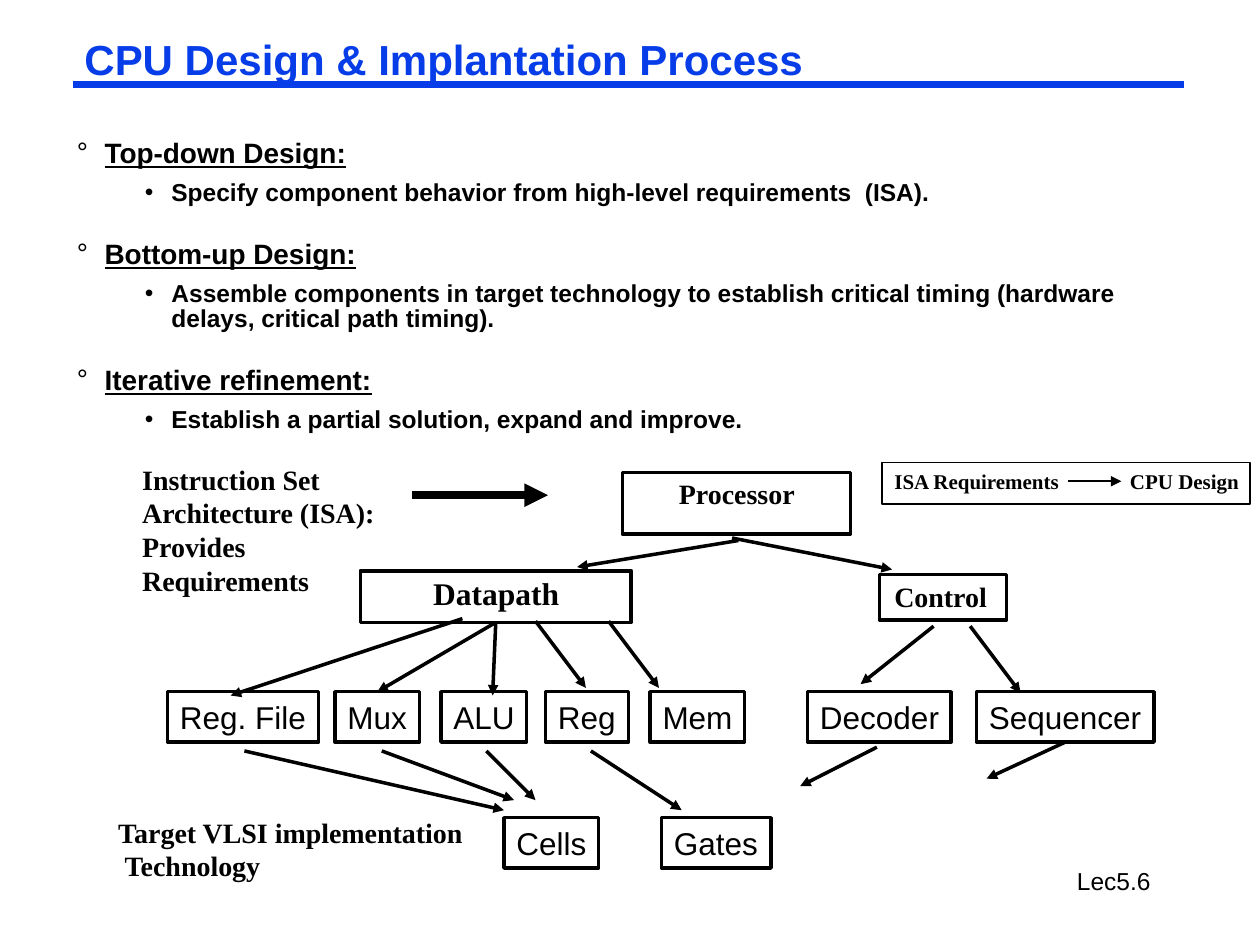
from lxml import etree
from pptx import Presentation
from pptx import util as u
from pptx.dml.color import RGBColor
from pptx.enum import shapes, text
from pptx.oxml.ns import qn

COLORS = {"blue": "063DE8", "black": "000000", "white": "FFFFFF"}
SANS, SERIF = "Arial", "Times New Roman"
TOP, BOTTOM = 0, 2  # connection sites of a rectangle

TITLE = "CPU Design & Implantation Process"
POINTS = [
    ("Top-down Design:",
     "Specify component behavior from high-level requirements  (ISA)."),
    ("Bottom-up Design:",
     "Assemble components in target technology to establish critical timing "
     "(hardware delays, critical path timing)."),
    ("Iterative refinement:",
     "Establish a partial solution, expand and improve."),
]

# Bullet levels: mark, left margin, hanging indent, size, space before, underline
LEVELS = [("°", 0.22, 0.22, 16, 20, True), ("•", 0.75, 0.21, 14, 7, False)]

# Rectangles without their own text: name -> left, top, width, height
FRAMES = {
    "Datapath": (2.86, 4.53, 2.15, 0.41),
    "Control": (6.98, 4.56, 1.01, 0.36),
    "Processor": (4.94, 3.75, 1.81, 0.49),
}

# Labels: lines, left, top, width, height, size
LABELS = [
    (["Datapath"], 3.34, 4.51, 1.26, 0.4, 18),
    (["Control"], 7, 4.55, 0.94, 0.36, 16),
    (["Processor"], 5.29, 3.73, 1.12, 0.36, 16),
    (["Instruction Set", "Architecture (ISA):", "Provides", "Requirements"],
     1.03, 3.62, 2.05, 1.43, 16),
    (["Target VLSI implementation", " Technology"], 0.84, 6.42, 2.96, 0.64, 16),
]

# Rows of component boxes: top -> (name, left, width)
ROWS = {
    5.49: [("Reg. File", 1.33, 1.2), ("Mux", 2.66, 0.67), ("ALU", 3.5, 0.68),
           ("Reg", 4.33, 0.66), ("Mem", 5.16, 0.75),
           ("Decoder", 6.41, 1.14), ("Sequencer", 7.75, 1.41)],
    6.49: [("Cells", 4, 0.75), ("Gates", 5.25, 0.87)],
}
ROW_HEIGHT = 0.4

# Arrows: each end is a point (x, y) or a joint (box name, site)
ARROWS = [
    ((5.86, 4.29), (4.58, 4.5)),
    ((5.81, 4.27), (7.08, 4.52)),
    ((3.67, 4.91), (1.83, 5.52)),
    (("Datapath", BOTTOM), ("Mux", TOP)),
    (("Datapath", BOTTOM), (3.91, 5.52)),
    ((4.25, 4.93), (4.65, 5.46)),
    ((4.83, 4.93), (5.23, 5.46)),
    ((7.41, 4.97), (6.83, 5.43)),
    ((7.7, 4.97), (8.1, 5.5)),
    ((1.94, 5.96), (4, 6.43)),
    ((3.03, 5.96), (4.08, 6.35)),
    ((3.86, 5.96), (4.25, 6.35)),
    ((4.69, 5.96), (5.41, 6.43)),
    ((6.96, 5.93), (6.35, 6.24)),
    (("Sequencer", BOTTOM), (7.83, 6.18)),
]


def color(name):
    return RGBColor.from_string(COLORS[name])


def inches(*values):
    return [u.Inches(value) for value in values]


def style(font, face, size, bold=False, ink="black"):
    font.name, font.size, font.bold = face, u.Pt(size), bold
    font.color.rgb = color(ink)


def set_frame(frame, side, edge, wrap):
    frame.margin_left = frame.margin_right = u.Inches(side)
    frame.margin_top = frame.margin_bottom = u.Inches(edge)
    frame.vertical_anchor = text.MSO_ANCHOR.TOP
    frame.auto_size = text.MSO_AUTO_SIZE.NONE
    frame.word_wrap = wrap


def write(shape, lines, face, size, bold=False, align=text.PP_ALIGN.LEFT):
    frame = shape.text_frame
    set_frame(frame, 0.1, 0.05, False)
    frame.text = "\n".join(lines)
    for para in frame.paragraphs:
        para.alignment = align
        style(para.runs[0].font, face, size, bold)


def add_label(parent, lines, left, top, width, height, size):
    box = parent.add_textbox(*inches(left, top, width, height))
    write(box, lines, SERIF, size, bold=True)


def add_box(parent, place, weight=2, fill=None):
    box = parent.add_shape(shapes.MSO_SHAPE.RECTANGLE, *inches(*place))
    box.shadow.inherit = False
    if fill:
        box.fill.solid()
        box.fill.fore_color.rgb = color(fill)
    else:
        box.fill.background()
    box.line.color.rgb = color("black")
    box.line.width = u.Pt(weight)
    return box


def add_line(parent, start, end, weight=2, ink="black", arrow=True):
    line = parent.add_connector(shapes.MSO_CONNECTOR.STRAIGHT,
                                *inches(*start, *end))
    line.line.color.rgb = color(ink)
    line.line.width = u.Pt(weight)
    if arrow:
        etree.SubElement(line.line._get_or_add_ln(), qn("a:tailEnd"),
                         type="triangle")
    etree.SubElement(line._element.spPr, qn("a:effectLst"))
    return line


def add_arrow(parent, boxes, start, end):
    joints = [point if point[0] in boxes else None for point in (start, end)]
    ends = [(0, 0) if joint else point
            for joint, point in zip(joints, (start, end))]
    line = add_line(parent, *ends)
    for joint, connect in zip(joints, (line.begin_connect, line.end_connect)):
        if joint:
            connect(boxes[joint[0]], joint[1])


def add_points(page):
    frame = page.shapes.add_textbox(*inches(0.54, 1.09, 8.92, 2.41)).text_frame
    set_frame(frame, 0.07, 0.03, True)
    entries = [(level, line) for pair in POINTS for level, line in enumerate(pair)]
    frame.text = "\n".join(line for _, line in entries)
    for index, (para, (level, _)) in enumerate(zip(frame.paragraphs, entries)):
        mark, margin, hang, size, before, underline = LEVELS[level]
        props = para._p.get_or_add_pPr()
        props.set("marL", str(u.Inches(margin)))
        props.set("indent", str(-u.Inches(hang)))
        etree.SubElement(props, qn("a:buFont"), typeface=SANS)
        etree.SubElement(props, qn("a:buChar"), char=mark)
        para.level = level
        para.line_spacing = 0.85
        para.space_before = u.Pt(before if index else 0)
        font = para.runs[0].font
        style(font, SANS, size, bold=True)
        font.underline = underline


def main():
    deck = Presentation()
    deck.slide_width, deck.slide_height = inches(10, 7.5)
    page = deck.slides.add_slide(deck.slide_layouts[5])

    # Title, rule and page mark
    add_line(page.shapes, (0.58, 0.67), (9.4, 0.67), 3.75, "blue", arrow=False)
    title = page.shapes.title
    title.left, title.top, title.width, title.height = inches(0.6, 0.29, 5.9, 0.41)
    set_frame(title.text_frame, 0.07, 0.03, False)
    title.text_frame.text = TITLE
    heading = title.text_frame.paragraphs[0]
    heading.alignment = text.PP_ALIGN.LEFT
    heading.line_spacing = 0.87
    style(heading.runs[0].font, SANS, 24, True, "blue")
    mark = page.shapes.add_textbox(*inches(7.8, 6.82, 2.08, 0.29))
    write(mark, ["Lec5.6"], SANS, 14, align=text.PP_ALIGN.CENTER)

    add_points(page)

    # Design tree
    boxes = {name: add_box(page.shapes, place) for name, place in FRAMES.items()}
    for label in LABELS:
        add_label(page.shapes, *label)
    for top, row in ROWS.items():
        for name, left, width in row:
            boxes[name] = add_box(page.shapes, (left, top, width, ROW_HEIGHT))
            write(boxes[name], [name], SANS, 18)
    for start, end in ARROWS:
        add_arrow(page.shapes, boxes, start, end)
    add_line(page.shapes, (3.27, 3.93), (4.35, 3.93), 4.5)

    # Summary strip
    strip = page.shapes.add_group_shape().shapes
    add_box(strip, (7, 3.67, 2.92, 0.33), 1, "white")
    add_label(strip, ["ISA Requirements"], 7, 3.67, 1.52, 0.3, 12)
    add_label(strip, ["CPU Design"], 8.87, 3.67, 1.06, 0.3, 12)
    add_line(strip, (8.48, 3.82), (8.9, 3.82), 1)

    deck.save("out.pptx")


if __name__ == "__main__":
    main()
